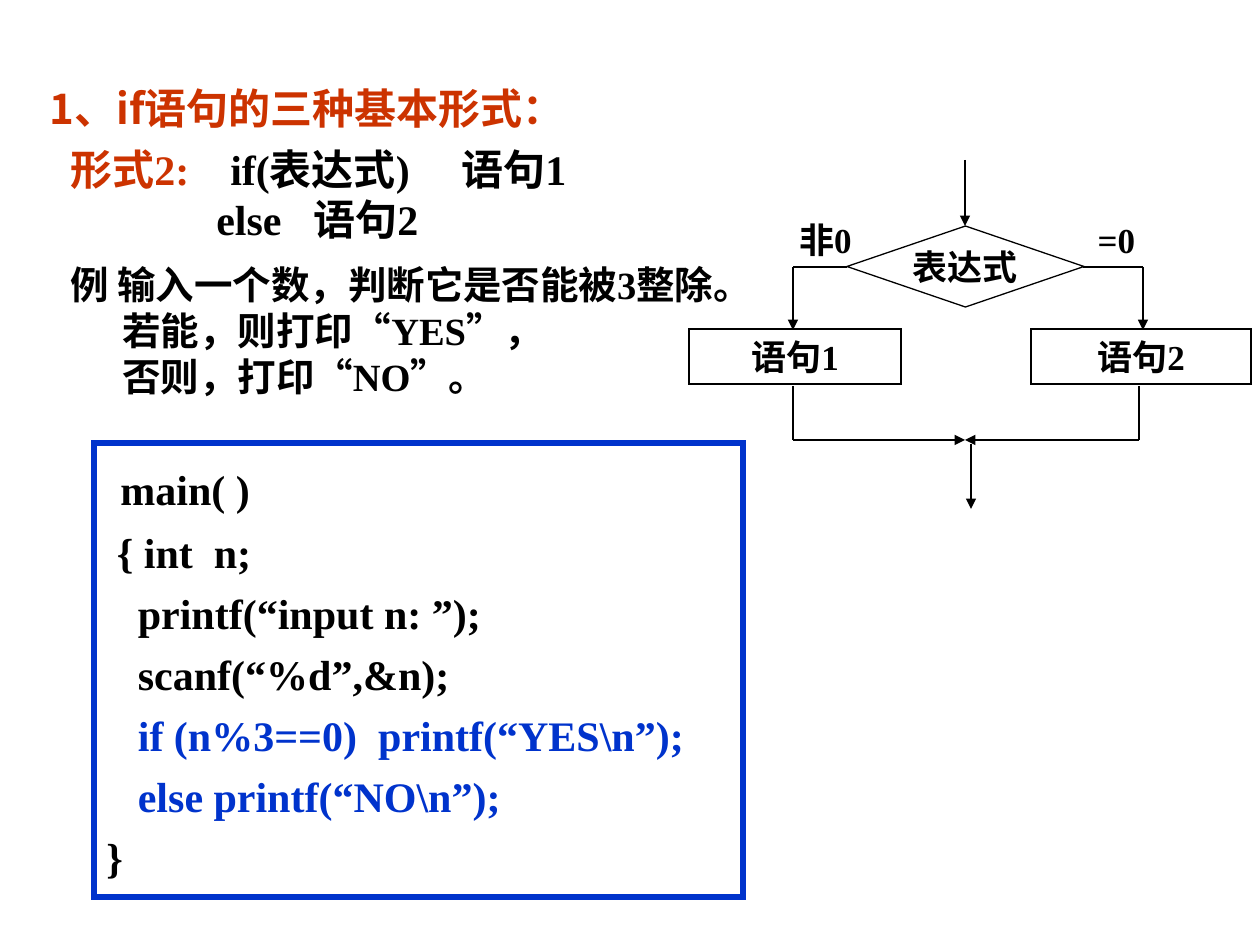
from lxml import etree
from pptx import Presentation
from pptx.dml.color import RGBColor
from pptx.enum.shapes import MSO_CONNECTOR, MSO_SHAPE
from pptx.enum.text import MSO_ANCHOR, MSO_AUTO_SIZE, PP_ALIGN
from pptx.oxml.ns import qn
from pptx.util import Pt

STRAIGHT = MSO_CONNECTOR.STRAIGHT
DECISION, RECTANGLE = MSO_SHAPE.FLOWCHART_DECISION, MSO_SHAPE.RECTANGLE
TOP, MIDDLE = MSO_ANCHOR.TOP, MSO_ANCHOR.MIDDLE
LEFT, CENTER = PP_ALIGN.LEFT, PP_ALIGN.CENTER

SERIF, SANS = "Times New Roman", "Noto Sans CJK SC"
BLACK, WHITE, RED, BLUE = "000000", "FFFFFF", "CC3300", "0033CC"
PX_PER_INCH = 126


def px(length):
    return round(length * 914400 / PX_PER_INCH)


def color(hex_value):
    return RGBColor.from_string(hex_value)


def format_run(run, size, hex_value=BLACK, latin=SERIF):
    font = run.font
    font.size, font.bold, font.name = Pt(size), True, latin
    font.color.rgb = color(hex_value)
    east_asian = etree.SubElement(run._r.get_or_add_rPr(), qn("a:ea"))
    east_asian.set("typeface", SANS)


def add_runs(paragraph, pieces, size):
    """Append (text, colour) pieces as bold runs of one size."""
    for text, hex_value in pieces:
        run = paragraph.add_run()
        run.text = text
        format_run(run, size, hex_value)


def set_frame(frame, anchor=TOP, wrap=True):
    frame.auto_size = MSO_AUTO_SIZE.NONE
    frame.word_wrap = wrap
    frame.vertical_anchor = anchor


def add_text_box(slide, left, top, width, height):
    frame = slide.shapes.add_textbox(px(left), px(top), px(width), px(height)).text_frame
    set_frame(frame)
    return frame


def next_paragraph(frame, index):
    return frame.add_paragraph() if index else frame.paragraphs[0]


def set_tabs(paragraph, stops):
    tab_list = etree.SubElement(paragraph._p.get_or_add_pPr(), qn("a:tabLst"))
    for stop in stops:
        etree.SubElement(tab_list, qn("a:tab"), pos=str(px(stop)), algn="l")


def add_outline(slide, preset, left, top, width, height, hex_value, weight, fill=None):
    """Add a preset shape with a square-cornered line."""
    outline = slide.shapes.add_shape(preset, px(left), px(top), px(width), px(height))
    outline.shadow.inherit = False
    outline.line.color.rgb = color(hex_value)
    outline.line.width = Pt(weight)
    etree.SubElement(outline.line._get_or_add_ln(), qn("a:miter"), lim="800000")
    if fill:
        outline.fill.solid()
        outline.fill.fore_color.rgb = color(fill)
    else:
        outline.fill.background()
    return outline


def add_line(slide, x1, y1, x2, y2, arrow):
    line = slide.shapes.add_connector(STRAIGHT, px(x1), px(y1), px(x2), px(y2))
    line.line.color.rgb = color(BLACK)
    line.line.width = Pt(0.75)
    if arrow:
        etree.SubElement(line.line._get_or_add_ln(), qn("a:tailEnd"), type="triangle")
    etree.SubElement(line._element.spPr, qn("a:effectLst"))


def place_title(slide, left, top, width, height):
    title = slide.shapes.title
    title.left, title.top = px(left), px(top)
    title.width, title.height = px(width), px(height)
    frame = title.text_frame
    frame.text = "1、if语句的三种基本形式："
    set_frame(frame, wrap=False)
    heading = frame.paragraphs[0]
    heading.alignment = LEFT
    format_run(heading.runs[0], 24, RED, SANS)


def add_syntax(slide, left, top, width, height):
    frame = add_text_box(slide, left, top, width, height)
    lines = [
        ((160, 391), [("形式2:", RED), ("\tif(表达式)\t语句1", BLACK)]),
        ((146, 243), [("\telse\t语句2", BLACK)]),
    ]
    for index, (stops, pieces) in enumerate(lines):
        paragraph = next_paragraph(frame, index)
        set_tabs(paragraph, stops)
        add_runs(paragraph, pieces, 24)


def add_example(slide, left, top, width, height):
    frame = add_text_box(slide, left, top, width, height)
    lines = ["例 输入一个数，判断它是否能被3整除。",
             "若能，则打印“YES”，",
             "否则，打印“NO”。"]
    for index, text in enumerate(lines):
        paragraph = next_paragraph(frame, index)
        if index:
            paragraph._p.get_or_add_pPr().set("marL", str(px(52)))
        add_runs(paragraph, [(text, BLACK)], 22)


def add_code(slide, left, top, width, height):
    frame = add_outline(slide, RECTANGLE, left, top, width, height, BLUE, 3).text_frame
    set_frame(frame)
    code = [
        (" main( )", BLACK),
        (" { int  n;", BLACK),
        ("   printf(“input n: ”);", BLACK),
        ("   scanf(“%d”,&n);", BLACK),
        ("   if (n%3==0)  printf(“YES\\n”);", BLUE),
        ("   else printf(“NO\\n”);", BLUE),
        ("}", BLACK),
    ]
    for index, (text, hex_value) in enumerate(code):
        paragraph = next_paragraph(frame, index)
        paragraph.alignment = LEFT
        if index:
            paragraph.space_before = Pt(6)
            add_runs(paragraph, [(text, hex_value)], 24)
        else:
            add_runs(paragraph, [(text[:1], hex_value)], 32)
            add_runs(paragraph, [(text[1:], hex_value)], 24)


def add_flowchart(slide, left, top):
    def label(frame, text, wrap=True):
        set_frame(frame, MIDDLE, wrap)
        frame.paragraphs[0].alignment = CENTER
        add_runs(frame.paragraphs[0], [(text, BLACK)], 20)

    nodes = [
        (DECISION, 158, 66, 237, 81, WHITE, "表达式"),
        (RECTANGLE, 0, 169, 212, 55, None, "语句1"),
        (RECTANGLE, 342, 169, 220, 55, None, "语句2"),
    ]
    for preset, x, y, width, height, fill, text in nodes:
        node = add_outline(slide, preset, left + x, top + y, width, height, BLACK, 0.75, fill)
        label(node.text_frame, text, wrap=preset != DECISION)

    stem, split, join = 276, 107, 280
    lines = [(stem, 0, stem, 66, True), (282, 284, 282, 349, True)]
    for corner, branch_in, branch_out in [(158, 104, 104), (394, 454, 450)]:
        lines += [
            (corner, split, branch_in, split, False),
            (branch_in, split, branch_in, 170, True),
            (branch_out, 226, branch_out, join, False),
            (branch_out, join, stem, join, True),
        ]
    for x1, y1, x2, y2, arrow in lines:
        add_line(slide, left + x1, top + y1, left + x2, top + y2, arrow)

    for x, width, text in [(93, 87, "非0"), (396, 63, "=0")]:
        label(add_text_box(slide, left + x, top + 52, width, 55), text, wrap=False)


def main():
    deck = Presentation()
    deck.slide_width, deck.slide_height = px(1260), px(945)
    slide = deck.slides.add_slide(deck.slide_layouts[5])
    place_title(slide, 37, 76, 571, 63)
    add_syntax(slide, 58, 137, 581, 113)
    add_example(slide, 58, 255, 790, 151)
    add_flowchart(slide, 689, 160)
    add_code(slide, 94, 443, 649, 454)
    deck.save("out.pptx")


if __name__ == "__main__":
    main()
